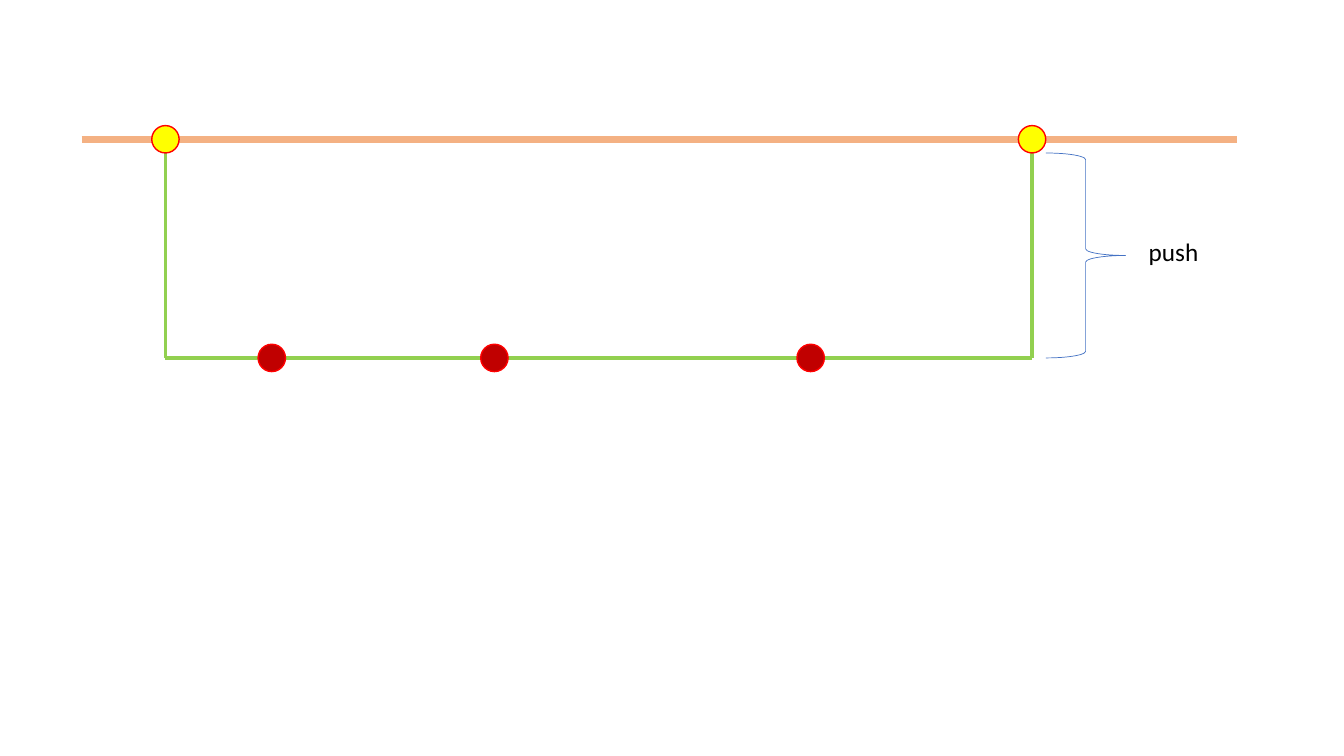
from dataclasses import dataclass

from lxml.etree import SubElement
from pptx import Presentation
from pptx.dml.color import RGBColor
from pptx.enum.shapes import MSO_CONNECTOR, MSO_SHAPE
from pptx.enum.text import MSO_AUTO_SIZE
from pptx.oxml.ns import qn
from pptx.slide import Slide
from pptx.util import Cm, Pt


@dataclass(frozen=True)
class Theme:
    rail: str = "F4B183"
    rope: str = "92D050"
    anchor: str = "FFFF00"
    bead: str = "C00000"
    outline: str = "FF0000"
    brace: str = "4472C4"
    text: str = "000000"
    font: str = "Calibri"
    label_size: float = 18


@dataclass(frozen=True)
class Segment:
    x1: float
    y1: float
    x2: float
    y2: float
    color: str
    width: float


@dataclass(frozen=True)
class Dot:
    x: float
    y: float
    color: str


THEME = Theme()
LEFT, RIGHT = 4.17, 26.01
TOP, BOTTOM = 3.51, 9.02
DOT_SIZE = 0.69
ROPE_WIDTH = 2.75

SEGMENTS = [
    Segment(2.06, TOP, 31.17, TOP, THEME.rail, 5),
    Segment(LEFT, TOP, LEFT, BOTTOM, THEME.rope, ROPE_WIDTH),
    Segment(RIGHT, TOP, RIGHT, BOTTOM, THEME.rope, ROPE_WIDTH),
    Segment(LEFT, BOTTOM, RIGHT, BOTTOM, THEME.rope, ROPE_WIDTH),
]
DOTS = [Dot(x, BOTTOM, THEME.bead) for x in (12.46, 6.85, 20.43)] + [
    Dot(x, TOP, THEME.anchor) for x in (LEFT, RIGHT)
]


def draw_segment(slide: Slide, segment: Segment) -> None:
    connector = slide.shapes.add_connector(
        MSO_CONNECTOR.STRAIGHT,
        Cm(segment.x1), Cm(segment.y1), Cm(segment.x2), Cm(segment.y2),
    )
    connector.line.color.rgb = RGBColor.from_string(segment.color)
    connector.line.width = Pt(segment.width)
    SubElement(connector._element.spPr, qn("a:effectLst"))


def draw_dot(slide: Slide, dot: Dot) -> None:
    shape = slide.shapes.add_shape(
        MSO_SHAPE.OVAL,
        Cm(dot.x - DOT_SIZE / 2), Cm(dot.y - DOT_SIZE / 2),
        Cm(DOT_SIZE), Cm(DOT_SIZE),
    )
    shape.shadow.inherit = False
    shape.fill.solid()
    shape.fill.fore_color.rgb = RGBColor.from_string(dot.color)
    shape.line.color.rgb = RGBColor.from_string(THEME.outline)
    shape.line.width = Pt(1)


def draw_brace(slide: Slide) -> None:
    top = TOP + DOT_SIZE / 2
    shape = slide.shapes.add_shape(
        MSO_SHAPE.RIGHT_BRACE,
        Cm(RIGHT + DOT_SIZE / 2), Cm(top), Cm(2.01), Cm(BOTTOM - top),
    )
    shape.shadow.inherit = False
    shape.fill.background()
    shape.line.color.rgb = RGBColor.from_string(THEME.brace)
    shape.line.width = Pt(0.5)


def draw_label(slide: Slide, text: str) -> None:
    shape = slide.shapes.add_textbox(Cm(28.7), Cm(5.84), Cm(2.01), Cm(1.02))
    text_frame = shape.text_frame
    text_frame.text = text
    text_frame.word_wrap = True
    text_frame.auto_size = MSO_AUTO_SIZE.SHAPE_TO_FIT_TEXT
    font = text_frame.paragraphs[0].runs[0].font
    font.name = THEME.font
    font.size = Pt(THEME.label_size)
    font.color.rgb = RGBColor.from_string(THEME.text)


def main() -> None:
    """Build the slide of a rope hanging from a rail and save it."""
    presentation = Presentation()
    presentation.slide_width = Cm(33.87)
    presentation.slide_height = Cm(19.05)
    slide = presentation.slides.add_slide(presentation.slide_layouts[6])
    for segment in SEGMENTS:
        draw_segment(slide, segment)
    for dot in DOTS:
        draw_dot(slide, dot)
    draw_brace(slide)
    draw_label(slide, "push")
    presentation.save("out.pptx")


if __name__ == "__main__":
    main()
